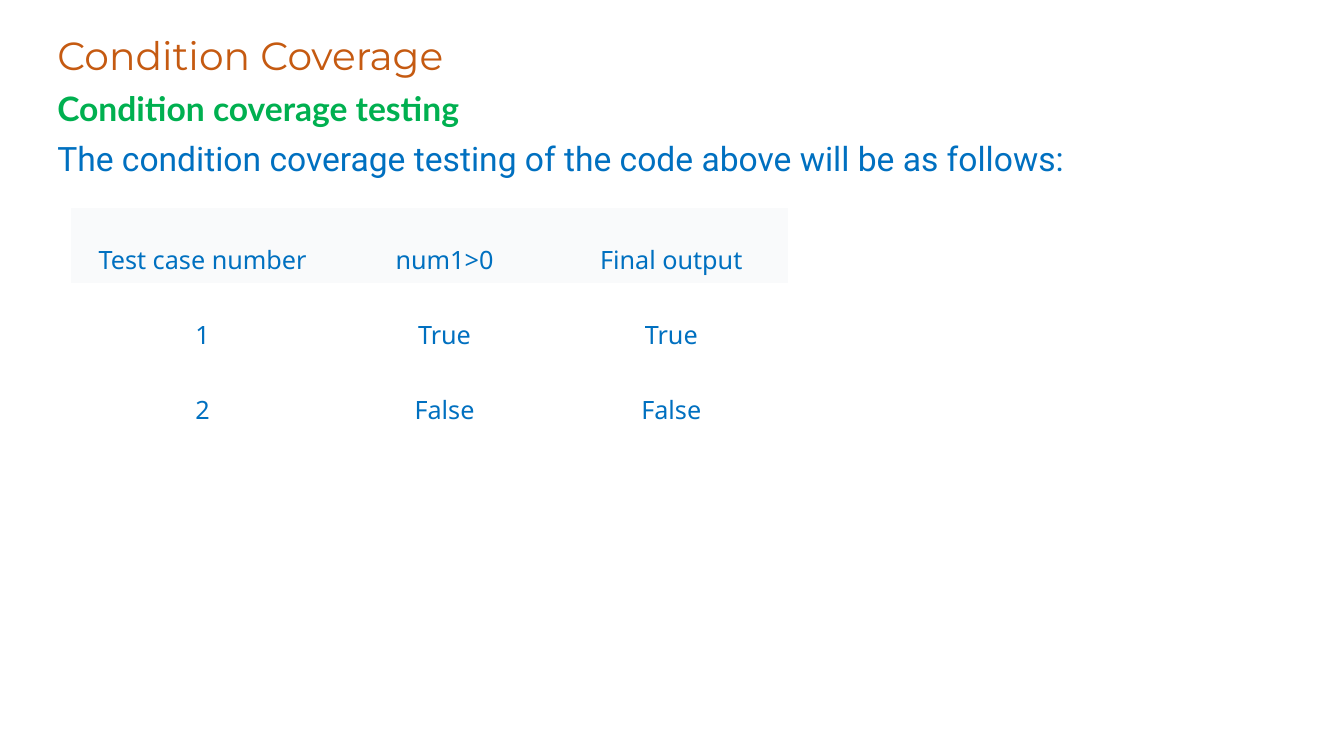
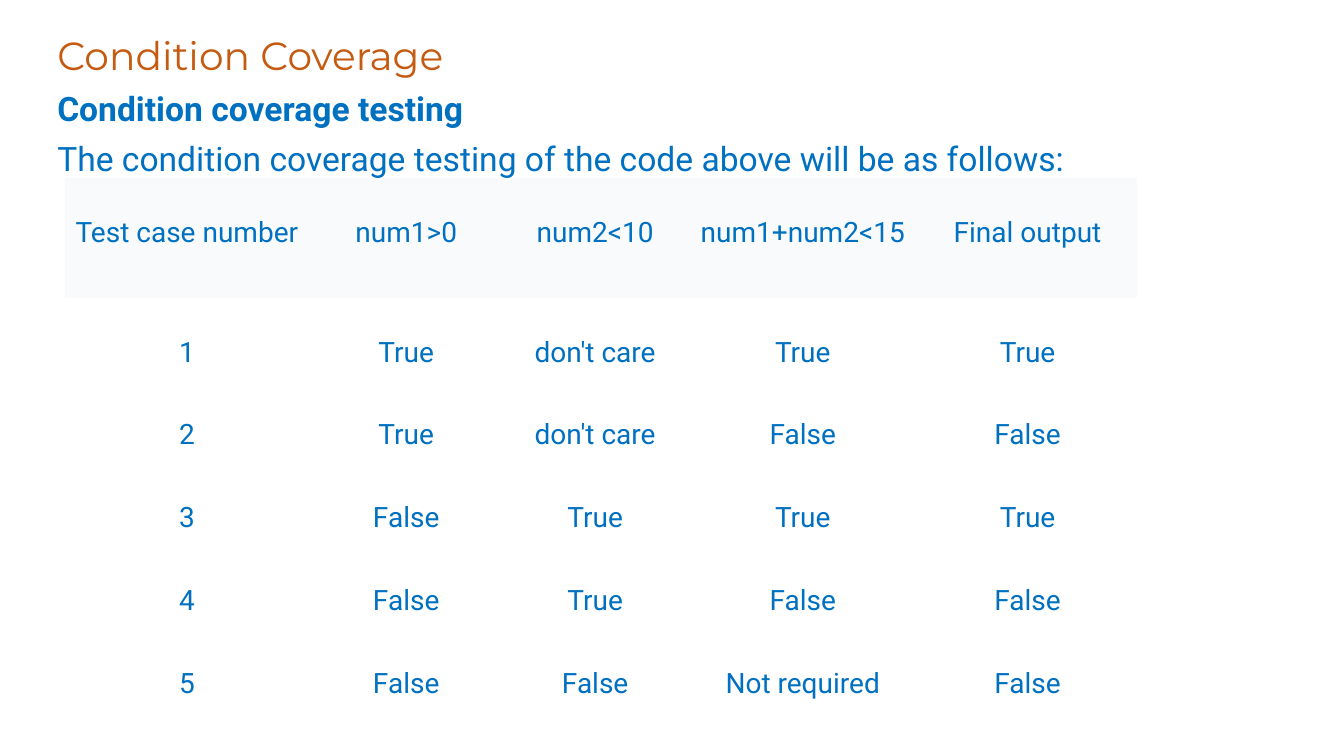
from dataclasses import dataclass

from pptx import Presentation
from pptx.dml.color import RGBColor as RGB
from pptx.enum.text import MSO_ANCHOR as Anchor, PP_ALIGN as Align
from pptx.oxml.ns import qn
from pptx.util import Inches, Pt


@dataclass(frozen=True)
class Theme:
    title: RGB = RGB(0xC5, 0x5A, 0x11)
    green: RGB = RGB(0x00, 0xB0, 0x50)
    blue: RGB = RGB(0x00, 0x70, 0xC0)
    band: RGB = RGB(0xF9, 0xFA, 0xFB)
    white: RGB = RGB(0xFF, 0xFF, 0xFF)
    title_font: str = "Montserrat"
    body_font: str = "Roboto"
    title_size: int = 28
    body_size: int = 24
    line: float = 0.9
    gap: int = 10
    plain_table: str = "{2D5ABB26-0587-4C30-8999-92F81FD0307C}"


class Deck:
    COLS, ROWS = 80, 45
    LEFT = 2.82

    def __init__(self, theme):
        self.theme = theme
        self.prs = Presentation()
        self.prs.slide_width = Inches(13 + 1 / 3)
        self.prs.slide_height = Inches(7.5)
        self.s = None

    def x(self, cols):
        return round(self.prs.slide_width * cols / self.COLS)

    def y(self, rows):
        return round(self.prs.slide_height * rows / self.ROWS)

    def new_slide(self):
        self.s = self.prs.slides.add_slide(self.prs.slide_layouts[6])

    def add_run(self, p, text, size, font, color, bold=False):
        r = p.add_run()
        r.text = text
        r.font.size = Pt(size)
        r.font.name = font
        r.font.bold = bold
        r.font.color.rgb = color

    def text(self, top, width, height, runs, anchor=Anchor.TOP):
        sp = self.s.shapes.add_textbox(self.x(self.LEFT), self.y(top),
                                       self.x(width), self.y(height))
        tf = sp.text_frame
        tf.word_wrap = True
        tf.vertical_anchor = anchor
        for i, run in enumerate(runs):
            p = tf.add_paragraph() if i else tf.paragraphs[0]
            p.line_spacing = self.theme.line
            if i:
                p.space_before = Pt(self.theme.gap)
            self.add_run(p, *run)

    def title(self, text):
        t = self.theme
        self.text(1.62, 69, 3.6,
                  [(text, t.title_size, t.title_font, t.title)], Anchor.MIDDLE)

    def body(self, heading, intro, heading_font, heading_color):
        t = self.theme
        self.text(5.22, 75, 36.78, [
            (heading, t.body_size, heading_font, heading_color, True),
            (intro, t.body_size, t.body_font, t.blue),
        ])

    def table(self, left, top, widths, head_height, row_height, cells,
              size, font, margins):
        t = self.theme
        heights = [head_height] + [row_height] * (len(cells) - 1)
        frame = self.s.shapes.add_table(
            len(cells), len(widths), self.x(left), self.y(top),
            self.x(sum(widths)), self.y(sum(heights)))
        frame.element.find(".//" + qn("a:tableStyleId")).text = t.plain_table
        table = frame.table
        table.horz_banding = False
        for column, width in zip(table.columns, widths):
            column.width = self.x(width)
        for row, height in zip(table.rows, heights):
            row.height = self.y(height)
        side, above, below = margins
        for i, values in enumerate(cells):
            for j, value in enumerate(values):
                cell = table.cell(i, j)
                cell.margin_left = cell.margin_right = self.x(side)
                cell.margin_top = self.y(above)
                cell.margin_bottom = self.y(below)
                cell.fill.solid()
                cell.fill.fore_color.rgb = t.white if i else t.band
                p = cell.text_frame.paragraphs[0]
                p.alignment = Align.CENTER
                self.add_run(p, value, size, font, t.blue)


def main():
    theme = Theme()
    deck = Deck(theme)
    title = "Condition Coverage"
    heading = "Condition coverage testing"
    intro = "The condition coverage testing of the code above will be as follows:"

    deck.new_slide()
    deck.title(title)
    deck.body(heading, intro, "Lato", theme.green)
    deck.table(4.2, 12.36, [15.72, 13.08, 13.92], 4.46, 4.46, [
        ["Test case number", "num1>0", "Final output"],
        ["1", "True", "True"],
        ["2", "False", "False"],
    ], 18, "Noto Sans", (0.6, 2.1, 0.3))

    deck.new_slide()
    deck.title(title)
    deck.body(heading, intro, theme.body_font, theme.blue)
    deck.table(3.84, 10.62, [14.58, 11.52, 10.98, 13.74, 13.02], 7.14, 4.93, [
        ["Test case number", "num1>0", "num2<10", "num1+num2<15", "Final output"],
        ["1", "True", "don't care", "True", "True"],
        ["2", "True", "don't care", "False", "False"],
        ["3", "False", "True", "True", "True"],
        ["4", "False", "True", "False", "False"],
        ["5", "False", "False", "Not required", "False"],
    ], 20, theme.body_font, (0.54, 2.24, 0.24))

    deck.prs.save("out.pptx")


if __name__ == "__main__":
    main()
